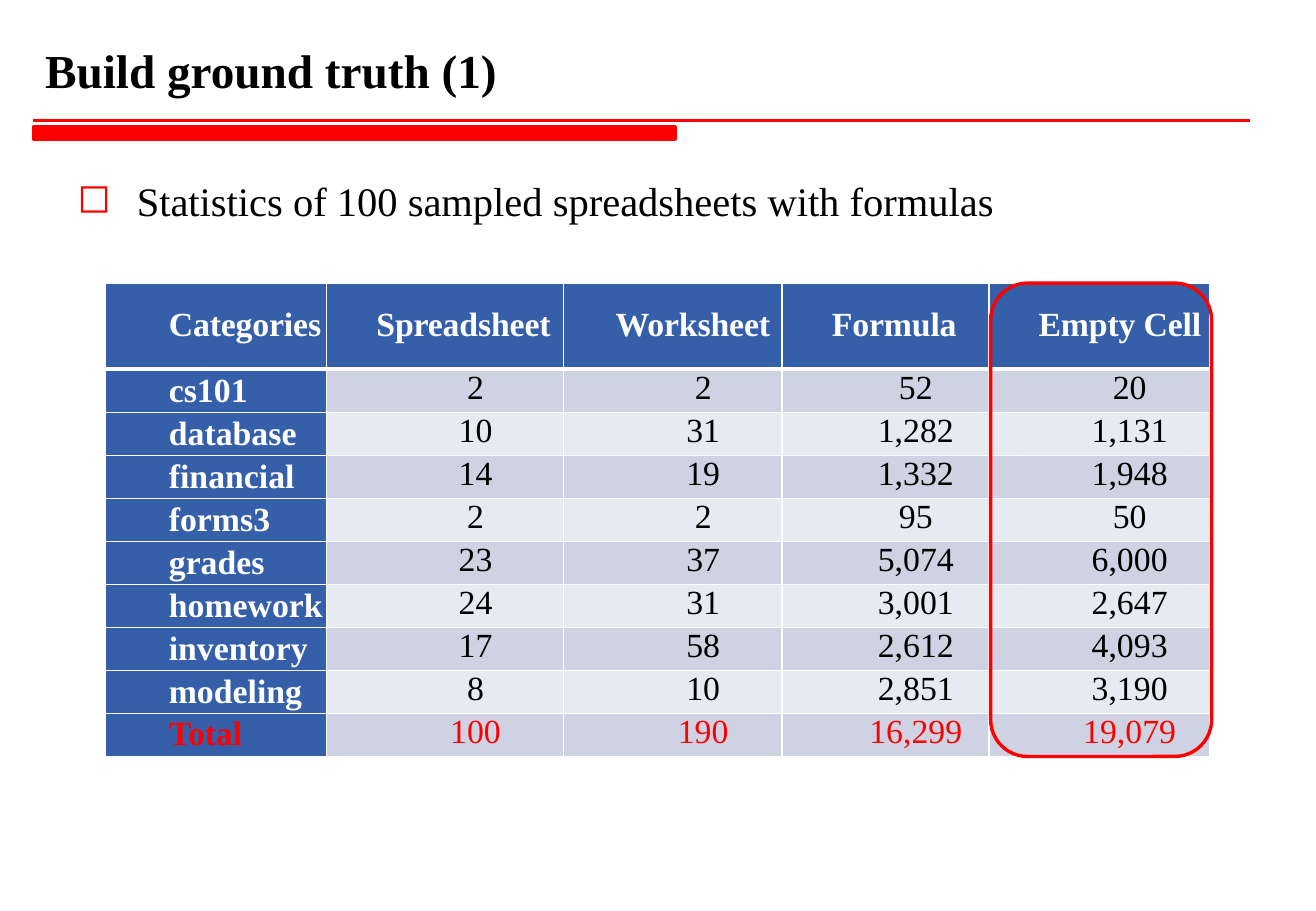
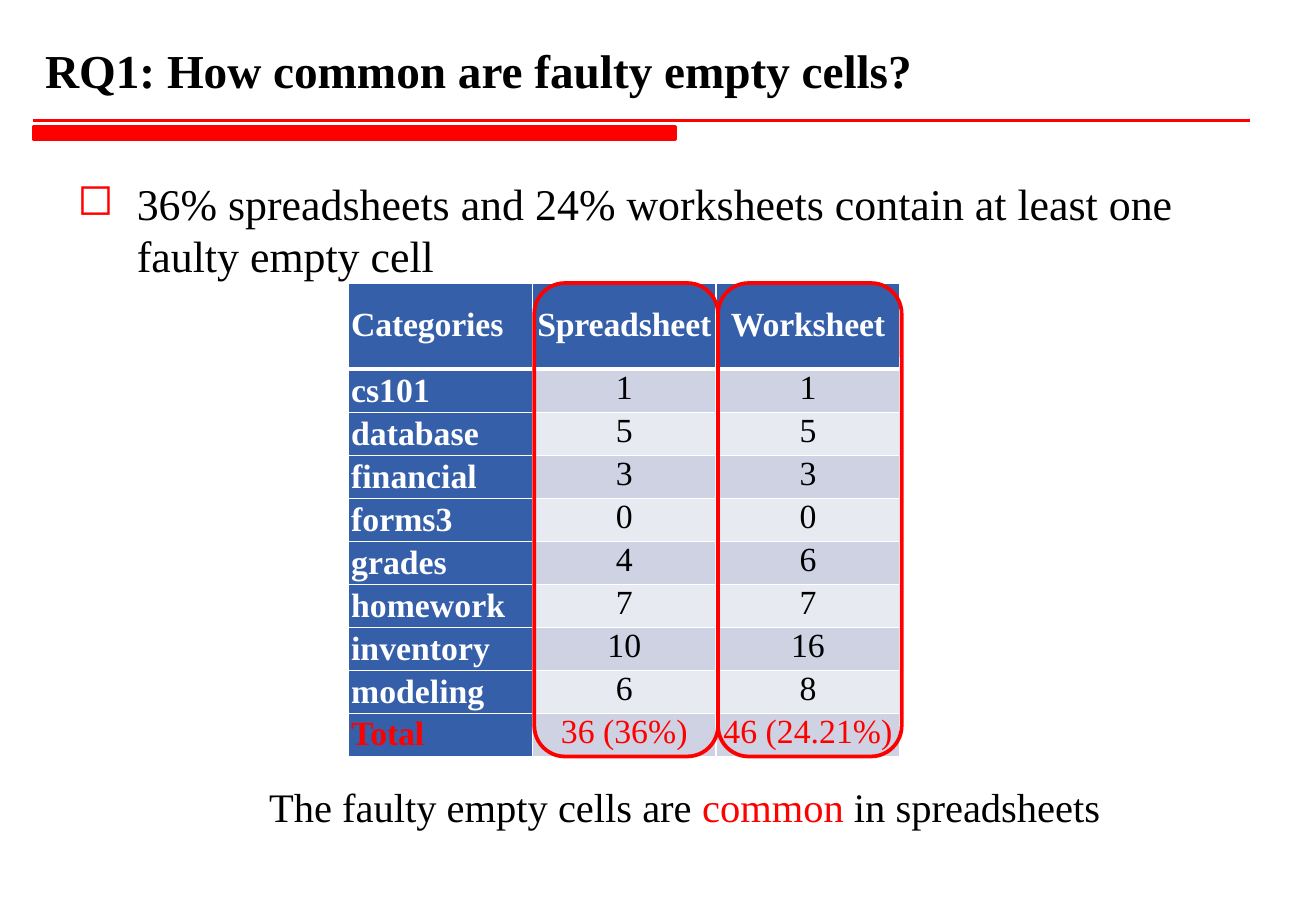
from pptx import Presentation
from pptx.dml.color import RGBColor
from pptx.enum.shapes import MSO_CONNECTOR, MSO_SHAPE
from pptx.enum.text import MSO_ANCHOR, PP_ALIGN
from pptx.oxml.ns import qn
from pptx.util import Cm, Pt
from lxml import etree

STRAIGHT = MSO_CONNECTOR.STRAIGHT
RECTANGLE, ROUNDED = MSO_SHAPE.RECTANGLE, MSO_SHAPE.ROUNDED_RECTANGLE
LEFT, CENTER = PP_ALIGN.LEFT, PP_ALIGN.CENTER
TOP, MIDDLE = MSO_ANCHOR.TOP, MSO_ANCHOR.MIDDLE

BLACK = RGBColor(0x00, 0x00, 0x00)
WHITE = RGBColor(0xFF, 0xFF, 0xFF)
RED = RGBColor(0xFF, 0x00, 0x00)
BLUE = RGBColor(0x36, 0x5F, 0xAA)
DARK_BAND = RGBColor(0xCE, 0xD2, 0xE2)
LIGHT_BAND = RGBColor(0xE8, 0xEA, 0xF1)

CATEGORIES = ["cs101", "database", "financial", "forms3", "grades",
              "homework", "inventory", "modeling", "Total"]
SAMPLE_COUNTS = {
    "Spreadsheet": ["2", "10", "14", "2", "23", "24", "17", "8", "100"],
    "Worksheet": ["2", "31", "19", "2", "37", "31", "58", "10", "190"],
    "Formula": ["52", "1,282", "1,332", "95", "5,074", "3,001", "2,612", "2,851", "16,299"],
    "Empty Cell": ["20", "1,131", "1,948", "50", "6,000", "2,647", "4,093", "3,190", "19,079"],
}
FAULTY_COUNTS = {
    "Spreadsheet": ["1", "5", "3", "0", "4", "7", "10", "6", "36 (36%)"],
    "Worksheet": ["1", "5", "3", "0", "6", "7", "16", "8", "46 (24.21%)"],
}


class Deck:
    """Hold the shared style and the current slide."""

    font = "Times New Roman"
    table_top = 5.92
    header_height = 1.8
    row_height = 0.9

    def __init__(self):
        self.presentation = Presentation()
        self.presentation.slide_width = Cm(27.51)
        self.presentation.slide_height = Cm(19.05)
        self.slide = None

    def add_run(self, paragraph, text, size, color=BLACK, bold=False):
        run = paragraph.add_run()
        run.text = text
        run.font.name = self.font
        run.font.size = Pt(size)
        run.font.bold = bold
        run.font.color.rgb = color
        return run

    def indent(self, paragraph, margin, first_line):
        properties = paragraph._p.get_or_add_pPr()
        properties.set("marL", str(Cm(margin)))
        properties.set("indent", str(Cm(first_line)))
        return properties

    def add_slide(self, title):
        layout = self.presentation.slide_layouts[5]
        self.slide = self.presentation.slides.add_slide(layout)
        self.add_rule()
        self.add_bar()
        shape = self.slide.shapes.title
        shape.left, shape.top, shape.width, shape.height = Cm(0.69), Cm(0.74), Cm(25.45), Cm(1.45)
        shape.text_frame.vertical_anchor = MIDDLE
        paragraph = shape.text_frame.paragraphs[0]
        paragraph.alignment = LEFT
        self.add_run(paragraph, title, 28, bold=True)

    def add_rule(self):
        rule = self.slide.shapes.add_connector(STRAIGHT, Cm(0.69), Cm(2.52), Cm(26.14), Cm(2.52))
        rule.line.color.rgb = RED
        rule.line.width = Pt(1.25)
        etree.SubElement(rule._element.spPr, qn("a:effectLst"))

    def add_box(self, kind, left, top, width, height, weight):
        box = self.slide.shapes.add_shape(kind, left, top, width, height)
        box.shadow.inherit = False
        box.line.color.rgb = RED
        box.line.width = Pt(weight)
        return box

    def add_bar(self):
        bar = self.add_box(RECTANGLE, Cm(0.71), Cm(2.64), Cm(13.41), Cm(0.28), 2)
        bar.fill.solid()
        bar.fill.fore_color.rgb = RED

    def add_text(self, left, top, width, height):
        frame = self.slide.shapes.add_textbox(Cm(left), Cm(top), Cm(width), Cm(height)).text_frame
        frame.word_wrap = True
        return frame.paragraphs[0]

    def add_bullet(self, text, size):
        paragraph = self.add_text(1.37, 3.56, 24.77, 12.24)
        paragraph.space_before = Pt(size * 0.2)
        properties = self.indent(paragraph, 1.24, -1.24)
        color = etree.SubElement(properties, qn("a:buClr"))
        etree.SubElement(color, qn("a:srgbClr"), val=str(RED))
        etree.SubElement(properties, qn("a:buChar"), char="◻")
        self.add_run(paragraph, text, size)

    def add_caption(self, parts):
        paragraph = self.add_text(2.21, 16.23, 24.21, 1.27)
        paragraph.alignment = CENTER
        for text, color in parts:
            self.add_run(paragraph, text, 24, color)

    def add_borders(self, cell, top, bottom):
        properties = cell._tc.get_or_add_tcPr()
        for side, weight in (("L", 1), ("R", 1), ("T", top), ("B", bottom)):
            line = etree.SubElement(properties, qn("a:ln" + side), w=str(Pt(weight)))
            fill = etree.SubElement(line, qn("a:solidFill"))
            etree.SubElement(fill, qn("a:srgbClr"), val=str(WHITE))

    def fill_cell(self, cell, text, row, column, margin, header_align):
        is_header, is_label, is_total = row == 0, column == 0, row == len(CATEGORIES)
        is_blue = is_header or is_label
        self.add_borders(cell, 3 if row == 1 else 1, 3 if is_header else 1)
        cell.fill.solid()
        cell.fill.fore_color.rgb = BLUE if is_blue else DARK_BAND if row % 2 else LIGHT_BAND
        cell.margin_left = cell.margin_right = Cm(0.1 if column == 2 else 0.05)
        cell.margin_top = cell.margin_bottom = 0
        cell.vertical_anchor = MIDDLE if is_blue else TOP
        paragraph = cell.text_frame.paragraphs[0]
        paragraph.alignment = LEFT if is_label else header_align if is_header else CENTER
        self.indent(paragraph, margin, -0.28 if is_header and not is_label else 0)
        color = RED if is_total else WHITE if is_blue else BLACK
        run = self.add_run(paragraph, text, 20, color, bold=is_blue)
        if is_header or (is_total and is_label):
            paragraph.line_spacing = 0.95
            run.font._element.set("spc", "-10")

    def add_table(self, counts, left, widths, margin=0, header_align=CENTER):
        columns = [["Categories", *CATEGORIES]]
        columns += [[name, *values] for name, values in counts.items()]
        rows = len(columns[0])
        height = self.header_height + self.row_height * len(CATEGORIES)
        frame = self.slide.shapes.add_table(
            rows, len(columns), Cm(left), Cm(self.table_top), Cm(sum(widths)), Cm(height))
        table = frame.table
        for row in range(rows):
            table.rows[row].height = Cm(self.row_height if row else self.header_height)
        for column, (width, texts) in enumerate(zip(widths, columns)):
            table.columns[column].width = Cm(width)
            for row, text in enumerate(texts):
                self.fill_cell(table.cell(row, column), text, row, column, margin, header_align)
        return frame

    def highlight(self, frame, column, weight):
        widths = [item.width for item in frame.table.columns]
        left = frame.left + sum(widths[:column]) + Cm(0.04)
        box = self.add_box(ROUNDED, left, frame.top, widths[column], frame.height, weight)
        box.fill.background()


def main():
    deck = Deck()

    deck.add_slide("Build ground truth (1)")
    deck.add_bullet("Statistics of 100 sampled spreadsheets with formulas", 24)
    frame = deck.add_table(SAMPLE_COUNTS, 2.21, [4.62, 4.95, 4.57, 4.32, 4.62], 1.27, LEFT)
    deck.highlight(frame, 4, 2)

    deck.add_slide("RQ1: How common are faulty empty cells?")
    deck.add_bullet("36% spreadsheets and 24% worksheets contain at least one faulty empty cell", 26)
    frame = deck.add_table(FAULTY_COUNTS, 7.29, [3.84] * 3)
    for column in (1, 2):
        deck.highlight(frame, column, 2.25)
    deck.add_caption([("The faulty empty cells are ", BLACK), ("common", RED),
                      (" in spreadsheets", BLACK)])

    deck.presentation.save("out.pptx")


if __name__ == "__main__":
    main()
